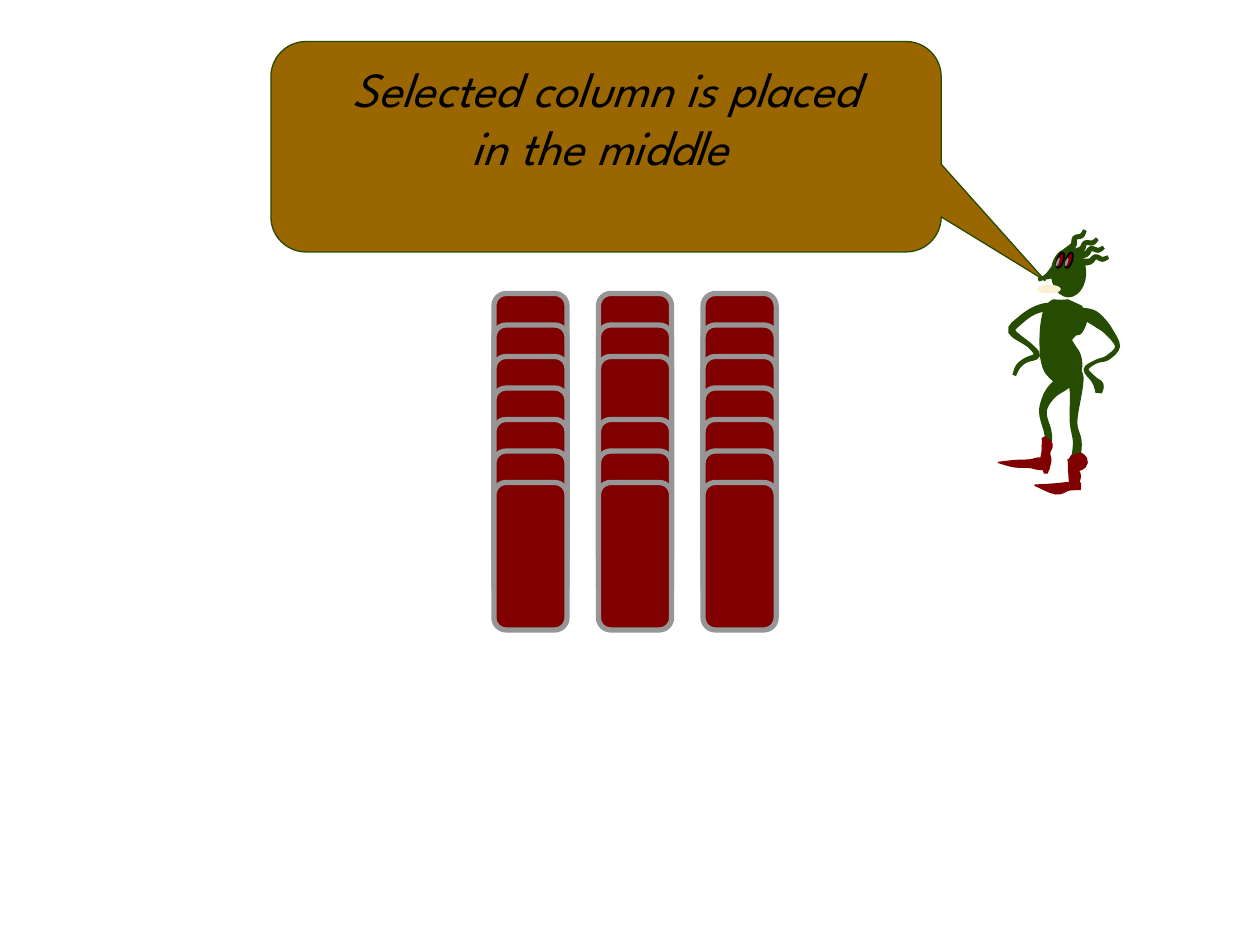
import math
from dataclasses import dataclass
from typing import NamedTuple

import pptx
import pptx.dml.color
import pptx.enum.shapes
import pptx.enum.text
import pptx.util

Inches = pptx.util.Inches
Kind = pptx.enum.shapes.MSO_SHAPE

COLORS = {
    "card": "800000",
    "edge": "969696",
    "bubble": "996600",
    "skin": "254C00",
    "teeth": "FBEFD2",
    "ink": "000000",
}
FONT = "League Spartan"
BUBBLE_LINES = ("Selected column is placed", "in the middle ")

# Card grid: the middle column has no card in row 3
CARD_LEFT, CARD_TOP = 3.92, 2.33
CARD_WIDTH, CARD_HEIGHT = 0.58, 1.17
COLUMN_STEP, ROW_STEP = 0.83, 0.25
COLUMNS, ROWS = 3, 7
EMPTY_PLACE = (1, 3)


class Joint(NamedTuple):
    """A point on the middle line of a limb, and how thick the limb is there."""
    x: float
    y: float
    thickness: float


@dataclass
class Limb:
    color: str
    joints: list[Joint]


@dataclass
class Oval:
    left: float
    top: float
    width: float
    height: float
    color: str
    line: str | None = None
    rotation: float = 0


@dataclass
class Strand:
    """A hair: where it grows, and its angle in degrees."""
    x: float
    y: float
    angle: float


def limb(color: str, *joints: tuple[float, float, float]) -> Limb:
    return Limb(color, [Joint(*joint) for joint in joints])


# The figure: each limb runs from its joint with the body to its tip
BODY = {
    "torso": limb("skin", (8.53, 2.4, 0.12), (8.5, 2.46, 0.31), (8.44, 2.54, 0.36),
                  (8.4, 2.61, 0.3), (8.38, 2.7, 0.26), (8.4, 2.8, 0.3),
                  (8.43, 2.88, 0.32), (8.44, 2.97, 0.27), (8.44, 3.07, 0.08)),
    "right arm": limb("skin", (8.58, 2.48, 0.08), (8.66, 2.51, 0.11), (8.73, 2.56, 0.1),
                      (8.8, 2.63, 0.07), (8.87, 2.75, 0.04), (8.79, 2.84, 0.04),
                      (8.7, 2.87, 0.03), (8.62, 2.93, 0.04), (8.68, 3.01, 0.05),
                      (8.72, 3.06, 0.08), (8.72, 3.12, 0.05)),
    "left arm": limb("skin", (8.48, 2.45, 0.06), (8.4, 2.45, 0.09), (8.3, 2.44, 0.07),
                     (8.2, 2.47, 0.06), (8.1, 2.54, 0.06), (8.03, 2.63, 0.06),
                     (8.17, 2.74, 0.04), (8.23, 2.82, 0.05), (8.14, 2.86, 0.04),
                     (8.08, 2.91, 0.04), (8.05, 2.98, 0.03)),
    "right leg": limb("skin", (8.52, 2.91, 0.1), (8.53, 3, 0.14), (8.54, 3.1, 0.1),
                      (8.52, 3.35, 0.06), (8.55, 3.5, 0.07), (8.54, 3.64, 0.07),
                      (8.53, 3.78, 0.05)),
    "left leg": limb("skin", (8.55, 2.96, 0.07), (8.45, 3.03, 0.12), (8.35, 3.11, 0.1),
                     (8.29, 3.21, 0.07), (8.28, 3.3, 0.06), (8.32, 3.45, 0.06),
                     (8.31, 3.6, 0.05)),
    "nose": limb("skin", (8.37, 2.16, 0.1), (8.3, 2.2, 0.04), (8.24, 2.22, 0.03)),
    "right boot": limb("card", (8.54, 3.6, 0.08), (8.55, 3.66, 0.17), (8.52, 3.73, 0.09),
                       (8.53, 3.78, 0.1), (8.52, 3.87, 0.07)),
    "right shoe": limb("card", (8.58, 3.86, 0.06), (8.48, 3.86, 0.07),
                       (8.38, 3.88, 0.09), (8.21, 3.85, 0.01)),
    "left boot": limb("card", (8.28, 3.47, 0.03), (8.31, 3.53, 0.09), (8.3, 3.59, 0.07),
                      (8.3, 3.66, 0.09), (8.3, 3.76, 0.03)),
    "left shoe": limb("card", (8.33, 3.68, 0.1), (8.24, 3.68, 0.1), (8.17, 3.68, 0.07),
                      (8.05, 3.68, 0.06), (7.92, 3.67, 0.01)),
}

# One wavy hair, lying flat, and the four places where it grows
WAVE = (Joint(0, 0, 0.06), Joint(0.08, 0.01, 0.05), Joint(0.13, -0.02, 0.04),
        Joint(0.18, 0.01, 0.04), Joint(0.23, 0, 0.03))
HAIR = (Strand(8.57, 2.08, -10), Strand(8.54, 2.03, -17),
        Strand(8.51, 2.01, -30), Strand(8.46, 2, -49))

HEAD = Oval(8.34, 1.97, 0.28, 0.39, "skin")
TEETH = Oval(8.23, 2.26, 0.19, 0.07, "teeth")
EYE_LEFTS = (8.35, 8.42)
EYE_TILT = 288.6


def rgb(name: str) -> pptx.dml.color.RGBColor:
    return pptx.dml.color.RGBColor.from_string(COLORS[name])


def paint(shape, fill: str, line: str | None = None, weight: float = 1) -> None:
    shape.shadow.inherit = False
    shape.fill.solid()
    shape.fill.fore_color.rgb = rgb(fill)
    if line is None:
        shape.line.fill.background()
    else:
        shape.line.color.rgb = rgb(line)
        shape.line.width = pptx.util.Pt(weight)


def draw_card(slide, column: int, row: int) -> None:
    card = slide.shapes.add_shape(
        Kind.ROUNDED_RECTANGLE,
        Inches(CARD_LEFT + column * COLUMN_STEP), Inches(CARD_TOP + row * ROW_STEP),
        Inches(CARD_WIDTH), Inches(CARD_HEIGHT))
    paint(card, "card", "edge", 3)


def draw_bubble(slide) -> None:
    bubble = slide.shapes.add_shape(
        Kind.ROUNDED_RECTANGULAR_CALLOUT,
        Inches(2.15), Inches(0.33), Inches(5.32), Inches(1.67))
    for index, value in enumerate((0.655, 0.636, 0.167)):
        bubble.adjustments[index] = value
    paint(bubble, "bubble", "skin", 0.75)
    frame = bubble.text_frame
    frame.word_wrap = True
    frame.vertical_anchor = pptx.enum.text.MSO_ANCHOR.TOP
    frame.text = "\n".join(BUBBLE_LINES)
    for paragraph in frame.paragraphs:
        paragraph.alignment = pptx.enum.text.PP_ALIGN.CENTER
        paragraph.font.name = FONT
        paragraph.font.size = pptx.util.Pt(28)
        paragraph.font.italic = True
        paragraph.font.color.rgb = rgb("ink")


def smooth(joints: list[Joint], steps: int = 4) -> list[Joint]:
    """Add joints between the given ones along a Catmull-Rom curve."""
    padded = [joints[0], *joints, joints[-1]]
    curve = []
    for a, b, c, d in zip(padded, padded[1:], padded[2:], padded[3:]):
        for t in (step / steps for step in range(steps)):
            curve.append(Joint(*(
                q + t / 2 * (r - p + t * (2*p - 5*q + 4*r - s + t * (3*q - p - 3*r + s)))
                for p, q, r, s in zip(a, b, c, d))))
    return curve + [joints[-1]]


def draw_limb(group, part: Limb) -> None:
    """Step half the thickness to each side of the middle line and fill between."""
    curve = smooth(part.joints)
    left_side, right_side = [], []
    for before, joint, after in zip([curve[0], *curve], curve, [*curve[1:], curve[-1]]):
        angle = math.atan2(after.y - before.y, after.x - before.x)
        across = joint.thickness / 2 * math.sin(angle)
        down = joint.thickness / 2 * math.cos(angle)
        left_side.append((Inches(joint.x + across), Inches(joint.y - down)))
        right_side.append((Inches(joint.x - across), Inches(joint.y + down)))
    start, *rest = left_side + right_side[::-1]
    builder = group.shapes.build_freeform(*start)
    builder.add_line_segments(rest, close=True)
    paint(builder.convert_to_shape(), part.color)


def draw_strand(group, strand: Strand) -> None:
    cosine, sine = (f(math.radians(strand.angle)) for f in (math.cos, math.sin))
    draw_limb(group, Limb("skin", [
        Joint(strand.x + x * cosine - y * sine, strand.y + x * sine + y * cosine, thickness)
        for x, y, thickness in WAVE]))


def draw_oval(group, oval: Oval) -> None:
    shape = group.shapes.add_shape(
        Kind.OVAL, Inches(oval.left), Inches(oval.top),
        Inches(oval.width), Inches(oval.height))
    shape.rotation = oval.rotation
    paint(shape, oval.color, oval.line)


def draw_figure(slide) -> None:
    group = slide.shapes.add_group_shape()
    for part in BODY.values():
        draw_limb(group, part)
    for strand in HAIR:
        draw_strand(group, strand)
    # Face
    draw_oval(group, HEAD)
    for left in EYE_LEFTS:
        draw_oval(group, Oval(left, 2.04, 0.13, 0.05, "card", "ink", EYE_TILT))
        draw_oval(group, Oval(left + 0.01, 2.07, 0.07, 0.02, "edge", None, EYE_TILT))
    draw_oval(group, TEETH)


def main() -> None:
    deck = pptx.Presentation()
    deck.slide_width, deck.slide_height = Inches(10), Inches(7.5)
    slide = deck.slides.add_slide(deck.slide_layouts[6])
    for column in range(COLUMNS):
        for row in range(ROWS):
            if (column, row) != EMPTY_PLACE:
                draw_card(slide, column, row)
    draw_bubble(slide)
    draw_figure(slide)
    deck.save("out.pptx")


if __name__ == "__main__":
    main()
